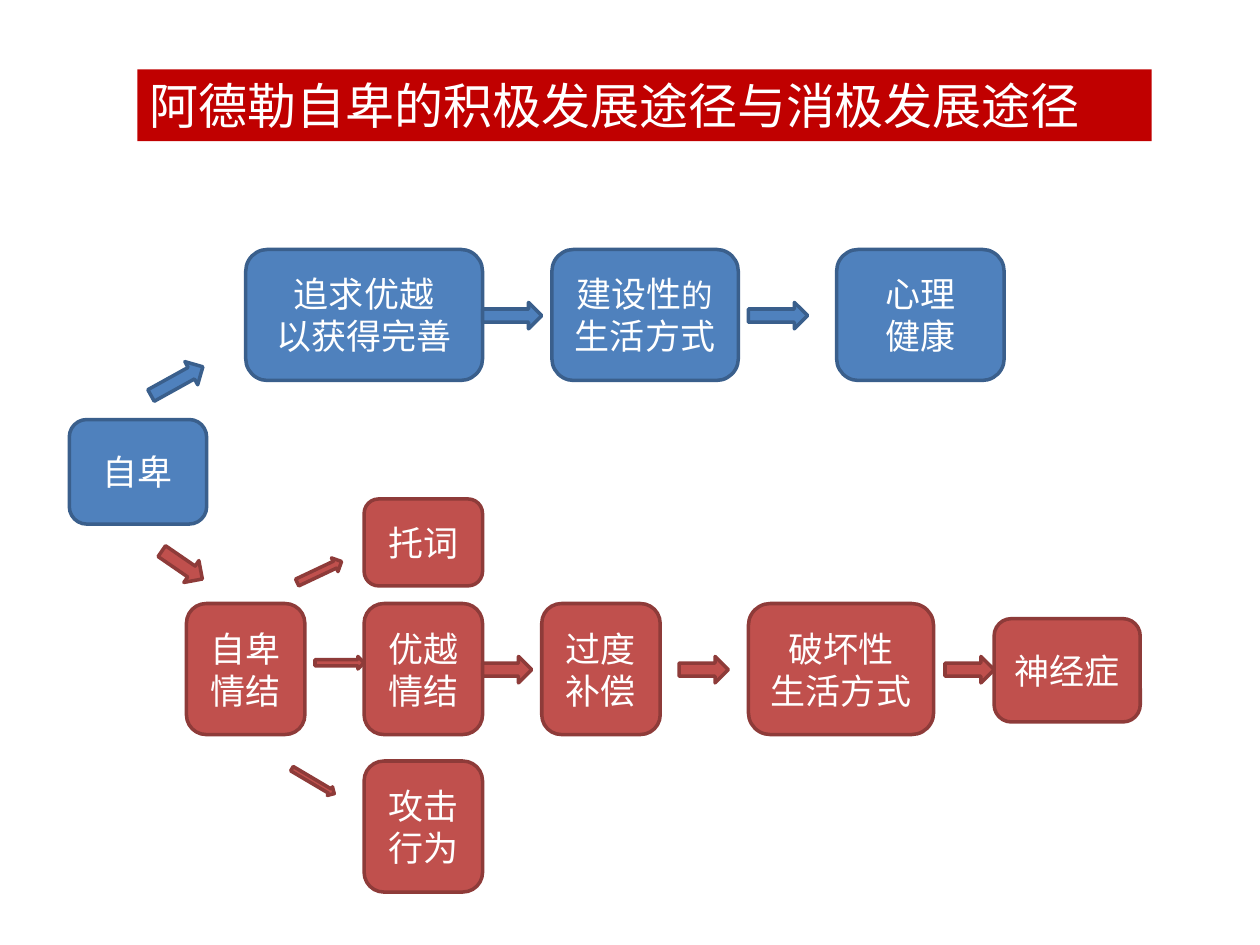
from pptx import Presentation
from pptx.dml.color import RGBColor
from pptx.enum.shapes import MSO_SHAPE as Shape
from pptx.enum.text import MSO_ANCHOR as Anchor, MSO_AUTO_SIZE as AutoSize, PP_ALIGN as Align
from pptx.util import Inches, Pt

COLORS = {
    "banner": "C00000",
    "text": "FFFFFF",
    "positive": "4F81BD",
    "positive_line": "3A5F8C",
    "negative": "C0504D",
    "negative_line": "8E3B39",
}
FONT = "Calibri"
ROW_HEIGHT = 1.04
ARROW_HEIGHT = 0.21


def rgb(name):
    return RGBColor.from_string(COLORS[name])


def write_text(frame, paragraphs, size=20, align=Align.CENTER, anchor=Anchor.MIDDLE):
    frame.word_wrap = True
    frame.auto_size = AutoSize.NONE
    frame.vertical_anchor = anchor
    for index, content in enumerate(paragraphs):
        para = frame.paragraphs[0] if index == 0 else frame.add_paragraph()
        para.alignment = align
        spans = [(content, size)] if isinstance(content, str) else content
        for text, span_size in spans:
            span = para.add_run()
            span.text = text
            span.font.name = FONT
            span.font.size = Pt(span_size)
            span.font.color.rgb = rgb("text")


def add_block(page, kind, tone, left, top, width, height):
    block = page.shapes.add_shape(
        kind, Inches(left), Inches(top), Inches(width), Inches(height))
    block.shadow.inherit = False
    block.fill.solid()
    block.fill.fore_color.rgb = rgb(tone)
    block.line.color.rgb = rgb(f"{tone}_line")
    block.line.width = Pt(2)
    return block


def add_stage(page, tone, paragraphs, left, top, width, height=ROW_HEIGHT):
    stage = add_block(page, Shape.ROUNDED_RECTANGLE, tone, left, top, width, height)
    write_text(stage.text_frame, paragraphs)


def add_arrow(page, tone, left, top, width, height=ARROW_HEIGHT, rotation=0):
    arrow = add_block(page, Shape.RIGHT_ARROW, tone, left, top, width, height)
    arrow.rotation = rotation


def place_title(page, left, top, width, height):
    title = page.shapes.title
    title.left, title.top = Inches(left), Inches(top)
    title.width, title.height = Inches(width), Inches(height)
    title.fill.solid()
    title.fill.fore_color.rgb = rgb("banner")
    write_text(title.text_frame, ["阿德勒自卑的积极发展途径与消极发展途径"],
               size=28, align=Align.LEFT, anchor=Anchor.TOP)


def place_origin(page, left, top, width, height):
    add_stage(page, "positive", ["自卑"], left, top, width, height)
    add_arrow(page, "positive", left + 0.62, top - 0.41, 0.47, rotation=331)
    add_arrow(page, "negative", left + 0.7, top + 1.05, 0.39, rotation=34.5)


def place_positive_path(page, left, top):
    stages = [
        (["追求优越", "以获得完善"], 0, 1.88),
        ([[("建设性", 20), ("的", 18)], "生活方式"], 2.43, 1.48),
        (["心理", "健康"], 4.69, 1.33),
    ]
    for paragraphs, offset, width in stages:
        add_stage(page, "positive", paragraphs, left + offset, top, width)
    for offset in (1.88, 3.99):
        add_arrow(page, "positive", left + offset, top + 0.42, 0.47)


def place_negative_path(page, left, top):
    row = 0.83
    stages = [
        (["自卑", "情结"], 0, row, 0.94, ROW_HEIGHT),
        (["托词"], 1.41, 0, 0.94, 0.69),
        (["优越", "情结"], 1.41, row, 0.94, ROW_HEIGHT),
        (["攻击行为"], 1.41, 2.08, 0.94, ROW_HEIGHT),
        (["过度", "补偿"], 2.82, row, 0.94, ROW_HEIGHT),
        (["破坏性", "生活方式"], 4.46, row, 1.47, ROW_HEIGHT),
        (["神经症"], 6.41, 0.95, 1.16, 0.82),
    ]
    for paragraphs, across, down, width, height in stages:
        add_stage(page, "negative", paragraphs, left + across, top + down, width, height)
    branches = [(0.86, 0.52, 0.12, 334.7), (1.02, 1.25, 0.1, 0), (0.81, 2.2, 0.08, 30.6)]
    for across, down, height, rotation in branches:
        add_arrow(page, "negative", left + across, top + down, 0.39, height, rotation)
    for across in (2.35, 3.91, 6.02):
        add_arrow(page, "negative", left + across, top + 1.25, 0.39)


def main():
    deck = Presentation()
    deck.slide_width, deck.slide_height = Inches(10), Inches(7.5)
    page = deck.slides.add_slide(deck.slide_layouts[5])
    place_title(page, 1.09, 0.55, 8.05, 0.57)
    place_origin(page, 0.55, 3.33, 1.09, 0.83)
    place_positive_path(page, 1.95, 1.98)
    place_negative_path(page, 1.48, 3.96)
    deck.save("out.pptx")


if __name__ == "__main__":
    main()
